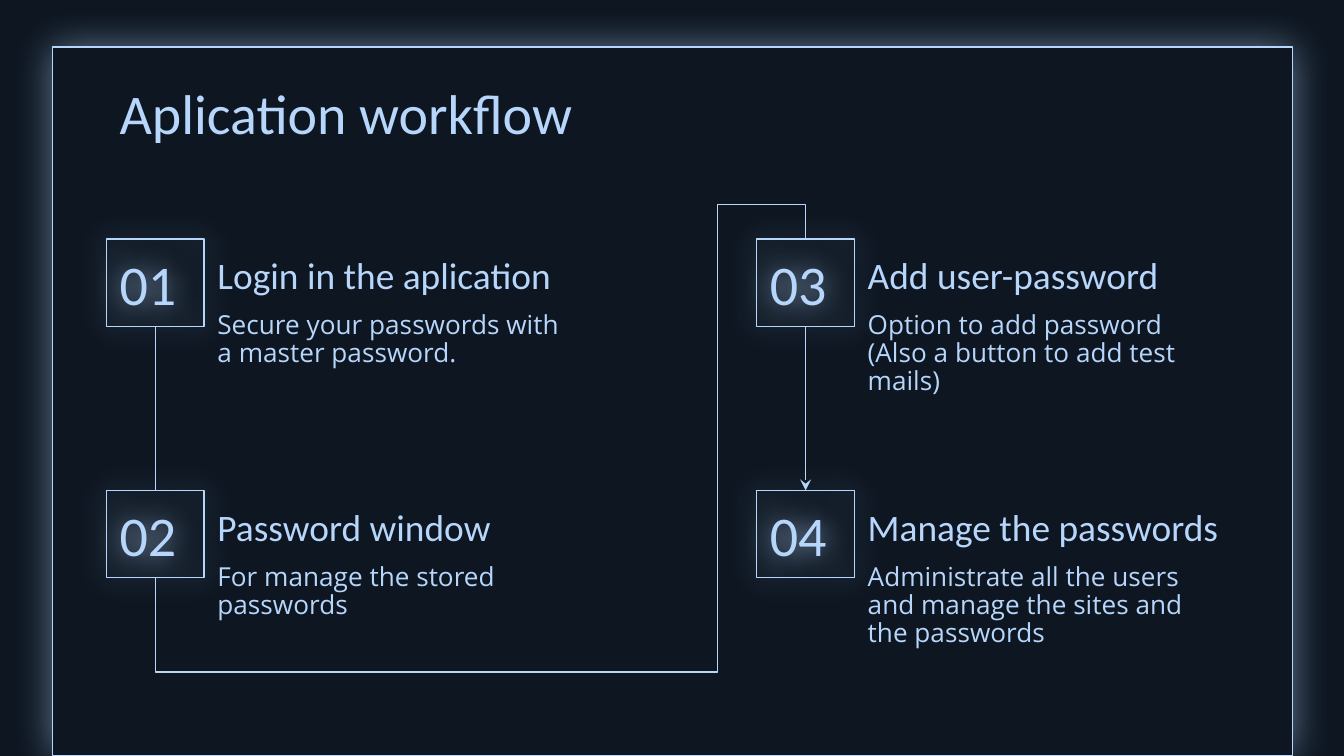
import pptx
import pptx.util
import pptx.dml.color
import pptx.enum.shapes
import pptx.enum.text
import pptx.oxml
import pptx.oxml.ns
from pptx.util import Cm

NAVY = pptx.dml.color.RGBColor(0x0D, 0x16, 0x21)
ICE = pptx.dml.color.RGBColor(0xB7, 0xD6, 0xFC)

ANCHOR = pptx.enum.text.MSO_ANCHOR
CONNECTOR = pptx.enum.shapes.MSO_CONNECTOR
qn = pptx.oxml.ns.qn

COLUMNS = (2.01, 14.3)
ROWS = (4.52, 9.27)
BOX_W, BOX_H = 1.85, 1.65
TOP, BOTTOM = 0, 2

STEPS = [
    ("Login in the aplication", "Secure your passwords with a master password."),
    ("Password window", "For manage the stored passwords"),
    ("Add user-password",
     "Option to add password (Also a button to add test mails)"),
    ("Manage the passwords",
     "Administrate all the users and manage the sites and the passwords"),
]


def set_text(shape, text, size, font="Calibri", anchor=ANCHOR.TOP, spacing=None):
    tf = shape.text_frame
    tf.text = text
    tf.word_wrap = True
    tf.auto_size = pptx.enum.text.MSO_AUTO_SIZE.NONE
    tf.vertical_anchor = anchor
    tf.margin_left = tf.margin_right = Cm(0.25)
    tf.margin_top = tf.margin_bottom = Cm(0.25)
    p = tf.paragraphs[0]
    p.alignment = pptx.enum.text.PP_ALIGN.LEFT
    p.line_spacing = spacing
    p.font.size = pptx.util.Pt(size)
    p.font.name = font
    p.font.color.rgb = ICE


def set_line(shape):
    shape.line.color.rgb = ICE
    shape.line.width = pptx.util.Pt(0.75)


def add_glow_box(s, x, y, w, h, blur, alpha):
    box = s.shapes.add_shape(pptx.enum.shapes.MSO_SHAPE.RECTANGLE,
                             Cm(x), Cm(y), Cm(w), Cm(h))
    box.fill.background()
    set_line(box)
    box._element.spPr.append(pptx.oxml.parse_xml(
        f'<a:effectLst {pptx.oxml.ns.nsdecls("a")}>'
        f'<a:outerShdw blurRad="{pptx.util.Pt(blur)}" dist="0" algn="ctr" rotWithShape="0">'
        f'<a:srgbClr val="{ICE}"><a:alpha val="{alpha * 1000}"/></a:srgbClr>'
        '</a:outerShdw></a:effectLst>'))
    return box


def add_frame(s):
    frame = add_glow_box(s, 0.99, 0.89, 23.44, 13.39, 21.4, 50)
    frame.fill.solid()
    frame.fill.fore_color.rgb = NAVY
    s.shapes._spTree.insert(2, frame._element)


def add_title(s, text):
    title = s.shapes.title
    title.left, title.top = Cm(2.01), Cm(1.24)
    title.width, title.height = Cm(21.41), Cm(1.6)
    set_text(title, text, 30)


def add_label(s, x, y, w, h, text, size, **style):
    set_text(s.shapes.add_textbox(Cm(x), Cm(y), Cm(w), Cm(h)), text, size, **style)


def add_step(s, number, heading, body):
    column, row = divmod(number - 1, len(ROWS))
    x, y = COLUMNS[column], ROWS[row]
    box = add_glow_box(s, x, y, BOX_W, BOX_H, 15.8, 100)
    set_text(box, f"{number:02}", 30, anchor=ANCHOR.MIDDLE)
    add_label(s, x + BOX_W, y + 1.14, 7.26, 1.35, body, 14,
              font="Open Sans", spacing=0.89)
    add_label(s, x + BOX_W, y + 0.28, 7.26, 1.07, heading, 20, anchor=ANCHOR.BOTTOM)
    return box


def add_link(s, start, end, kind=CONNECTOR.STRAIGHT, arrow=False):
    link = s.shapes.add_connector(kind, 0, 0, 0, 0)
    link.begin_connect(start, BOTTOM)
    link.end_connect(end, TOP)
    set_line(link)
    if arrow:
        tail = link.line._get_or_add_ln().makeelement(qn("a:tailEnd"), {"type": "stealth"})
        link.line._get_or_add_ln().append(tail)
    spPr = link._element.spPr
    spPr.append(spPr.makeelement(qn("a:effectLst"), {}))
    return link


def add_detour(s, start, end):
    link = add_link(s, start, end, CONNECTOR.ELBOW)
    across, rise = link.width, link.height
    link.left += (across - rise) // 2
    link.top += (rise - across) // 2
    link.width, link.height = rise, across
    spPr = link._element.spPr
    xfrm = spPr.find(qn("a:xfrm"))
    xfrm.set("rot", "16200000")
    xfrm.set("flipH", "0")
    xfrm.set("flipV", "0")
    geometry = spPr.find(qn("a:prstGeom"))
    geometry.set("prst", "bentConnector5")
    guides = geometry.find(qn("a:avLst"))
    for i, value in enumerate((-27900, 86500, 110300), 1):
        guides.append(guides.makeelement(
            qn("a:gd"), {"name": f"adj{i}", "fmla": f"val {value}"}))


def main():
    prs = pptx.Presentation()
    prs.slide_width, prs.slide_height = Cm(25.4), Cm(14.29)
    s = prs.slides.add_slide(prs.slide_layouts[5])
    s.background.fill.solid()
    s.background.fill.fore_color.rgb = NAVY
    add_frame(s)
    add_title(s, "Aplication workflow")
    login, window, add, manage = [
        add_step(s, i, *step) for i, step in enumerate(STEPS, 1)]
    add_link(s, login, window)
    add_link(s, add, manage, arrow=True)
    add_detour(s, window, add)
    prs.save("out.pptx")


if __name__ == "__main__":
    main()
